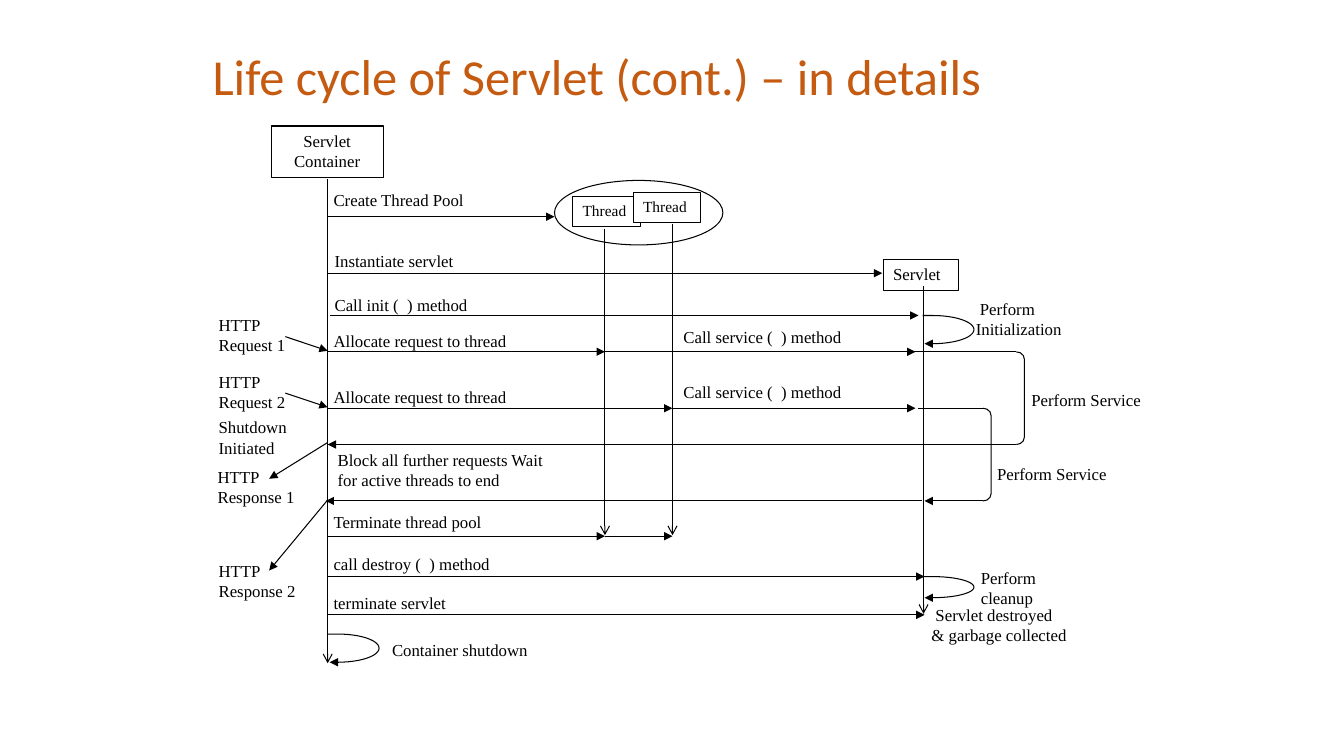
from math import cos, pi, sin

from lxml import etree
from pptx import Presentation
from pptx.dml.color import RGBColor
from pptx.enum.shapes import MSO_CONNECTOR, MSO_SHAPE
from pptx.enum.text import MSO_ANCHOR, PP_ALIGN
from pptx.oxml.ns import qn
from pptx.util import Inches, Pt

STRAIGHT = MSO_CONNECTOR.STRAIGHT
RECTANGLE, OVAL, BRACKET = MSO_SHAPE.RECTANGLE, MSO_SHAPE.OVAL, MSO_SHAPE.RIGHT_BRACKET
LEFT, CENTER = PP_ALIGN.LEFT, PP_ALIGN.CENTER
TOP, MIDDLE = MSO_ANCHOR.TOP, MSO_ANCHOR.MIDDLE
BLACK, WHITE, ORANGE = "000000", "FFFFFF", "C55A11"
SERIF, SANS = "Times New Roman", "Calibri"

CONTAINER, THREAD_1, THREAD_2, SERVLET = 1.25, 4, 4.67, 7.16
REQUEST_1, REQUEST_2, RESPONSE_1, RESPONSE_2 = 2.49, 3.05, 3.41, 3.97
POOL_END, DESTROY, TERMINATE = 4.32, 4.72, 5.1


def color(hex_code):
    """Turn a hex string into a colour."""
    return RGBColor.from_string(hex_code)


def place(box, x, y, width=0, height=0):
    """Convert lengths relative to a box into slide lengths."""
    return Inches(box[0] + x), Inches(box[1] + y), Inches(width), Inches(height)


def outline(item, head=None):
    """Give a shape or connector a thin black line and an optional arrowhead."""
    item.line.color.rgb = color(BLACK)
    item.line.width = Pt(0.75)
    if head:
        etree.SubElement(item.line._get_or_add_ln(), qn("a:tailEnd"), type=head)


def write(shape, text, size=12, font=SERIF, hue=BLACK, align=LEFT, anchor=TOP, indent=0):
    """Put one styled paragraph into a shape."""
    frame = shape.text_frame
    frame.word_wrap = True
    frame.vertical_anchor = anchor
    para = frame.paragraphs[0]
    para.text = text
    para.alignment = align
    if indent:
        para._p.get_or_add_pPr().set("indent", str(Inches(indent)))
    para.font.size = Pt(size)
    para.font.name = font
    para.font.color.rgb = color(hue)


def add_line(page, box, x1, y1, x2, y2, head="triangle"):
    """Draw a straight line with an optional arrowhead."""
    start, end = place(box, x1, y1)[:2], place(box, x2, y2)[:2]
    line = page.shapes.add_connector(STRAIGHT, *start, *end)
    outline(line, head)
    etree.SubElement(line._element.spPr, qn("a:effectLst"))


def add_outlined(page, box, kind, x, y, width, height, fill=None):
    """Draw an outlined preset shape."""
    shape = page.shapes.add_shape(kind, *place(box, x, y, width, height))
    shape.shadow.inherit = False
    outline(shape)
    if fill:
        shape.fill.solid()
        shape.fill.fore_color.rgb = color(fill)
    else:
        shape.fill.background()
    return shape


def add_title(page, box):
    """Write the slide title into its box."""
    title = page.shapes.add_textbox(*place(box, 0, 0, *box[2:]))
    write(title, "Life cycle of Servlet (cont.) – in details", 36, SANS, ORANGE, anchor=MIDDLE)


def add_participants(page, box):
    """Draw the lifelines and the boxes at their tops."""
    lifelines = [(CONTAINER, 0.78, 5.58), (THREAD_1, 1.27, 4.31), (THREAD_2, 1.22, 4.31)]
    for x, top, bottom in lifelines:
        add_line(page, box, x, top, x, bottom, "arrow")
    add_outlined(page, box, OVAL, 3.5, 0.79, 1.67, 0.64)
    for text, x, y, width, height, size, align in [
        ("Servlet Container", 0.69, 0.25, 1.11, 0.51, 12, CENTER),
        ("Thread", 3.68, 0.95, 0.67, 0.3, 11, LEFT),
        ("Thread", 4.28, 0.91, 0.67, 0.3, 11, LEFT),
        ("Servlet", 6.76, 1.57, 0.75, 0.31, 12, LEFT),
    ]:
        shape = add_outlined(page, box, RECTANGLE, x, y, width, height, WHITE)
        write(shape, text, size, align=align)
    add_line(page, box, SERVLET, 1.84, SERVLET, 5.09, "arrow")


def add_messages(page, box):
    """Draw the arrows between lifelines and to the outside."""
    for y, x1, x2 in [
        (1.15, CONTAINER, 3.5),
        (1.71, CONTAINER, 6.75),
        (2.13, 1.27, 7.11),
        (REQUEST_1, CONTAINER, THREAD_1),
        (REQUEST_1, THREAD_1, 7.08),
        (REQUEST_2, CONTAINER, THREAD_2),
        (REQUEST_2, THREAD_2, 7.08),
        (RESPONSE_1, SERVLET, CONTAINER),
        (RESPONSE_2, 7.14, 1.23),
        (POOL_END, CONTAINER, THREAD_1),
        (POOL_END, THREAD_1, THREAD_2),
        (DESTROY, CONTAINER, 7.17),
        (TERMINATE, CONTAINER, 7.17),
    ]:
        add_line(page, box, x1, y, x2, y)
    for request in (REQUEST_1, REQUEST_2):
        add_line(page, box, 0.83, request - 0.15, CONTAINER, request - 0.01)
    add_line(page, box, CONTAINER, 3.39, 0.67, 3.75)
    add_line(page, box, CONTAINER, 3.96, 0.67, 4.66)


def add_services(page, box):
    """Draw the brackets that span each service call."""
    for request, response, start, end, x, head in [
        (REQUEST_1, RESPONSE_1, 7, 7, 8.08, None),
        (REQUEST_2, RESPONSE_2, 7.1, 7.17, 7.75, "triangle"),
    ]:
        bracket = add_outlined(page, box, BRACKET, x, request, 0.08, response - request)
        bracket.adjustments[0] = 0.918
        add_line(page, box, start, request, x, request, None)
        add_line(page, box, x, response, end, response, head)


def add_loops(page, box):
    """Draw the curved arrows that return to their own lifeline."""
    steps = 24
    for x, y, height in [(7.15, 2.13, 0.28), (7.15, DESTROY, 0.21), (1.25, 5.29, 0.28)]:
        angles = [pi * step / steps - pi / 2 for step in range(steps + 1)]
        curve = [
            (x + 0.1 + 0.41 * cos(angle), y + height / 2 * (1 + sin(angle)))
            for angle in angles
        ]
        builder = page.shapes.build_freeform(*place(box, x, y)[:2])
        points = [place(box, *point)[:2] for point in curve + [(x + 0.02, y + height)]]
        builder.add_line_segments(points, close=False)
        loop = builder.convert_to_shape()
        loop.shadow.inherit = False
        loop.fill.background()
        outline(loop, "triangle")


def add_labels(page, box):
    """Write the captions of the arrows, loops and brackets."""
    gap = 0.04
    for text, x, y, width, height, indent in [
        ("Create Thread Pool", 1.21, 0.83, 1.58, 0.3, 0),
        ("Instantiate servlet", 1.18, 1.44, 1.58, 0.3, gap),
        ("Call init (  ) method", 1.18, 1.87, 1.58, 0.3, gap),
        ("Allocate request to thread", 1.17, 2.23, 2.17, 0.3, gap),
        ("Allocate request to thread", 1.17, 2.79, 2.17, 0.3, gap),
        ("Block all further requests Wait for active threads to end", 1.25, 3.41, 2.25, 0.5, 0),
        ("Terminate thread pool", 1.21, 4.03, 1.75, 0.3, 0),
        ("call destroy (  ) method", 1.17, 4.44, 1.83, 0.3, gap),
        ("terminate servlet", 1.17, 4.83, 1.42, 0.3, gap),
        ("Container shutdown", 1.75, 5.3, 1.67, 0.3, gap),
        ("Call service (  ) method", 4.64, 2.19, 1.83, 0.3, gap),
        ("Call service (  ) method", 4.64, 2.74, 1.83, 0.3, gap),
        ("Perform Initialization", 7.58, 1.91, 1.08, 0.5, gap),
        ("Perform Service", 8.09, 2.82, 1.42, 0.3, gap),
        ("Perform Service", 7.75, 3.55, 1.42, 0.3, gap),
        ("Perform cleanup", 7.63, 4.58, 0.75, 0.5, 0),
        ("Servlet destroyed & garbage collected", 7.14, 4.95, 1.56, 0.5, gap),
        ("HTTP Request 1", 0.07, 2.07, 1.04, 0.5, 0),
        ("HTTP Request 2", 0.07, 2.64, 1.04, 0.5, 0),
        ("Shutdown Initiated", 0.07, 3.09, 0.92, 0.5, 0),
        ("HTTP Response 1", 0.06, 3.58, 1.04, 0.5, 0),
        ("HTTP Response 2", 0.07, 4.51, 1.04, 0.5, 0),
    ]:
        label = page.shapes.add_textbox(*place(box, x, y, width, height))
        write(label, text, indent=indent)


def main():
    """Build the servlet life cycle slide and save it."""
    deck = Presentation()
    deck.slide_width, deck.slide_height = Inches(13.33), Inches(7.5)
    page = deck.slides.add_slide(deck.slide_layouts[6])
    diagram = (2, 1)
    for add_region in (add_participants, add_messages, add_services, add_loops, add_labels):
        add_region(page, diagram)
    add_title(page, (2.01, 0.34, 9.75, 0.82))
    deck.save("out.pptx")


if __name__ == "__main__":
    main()
